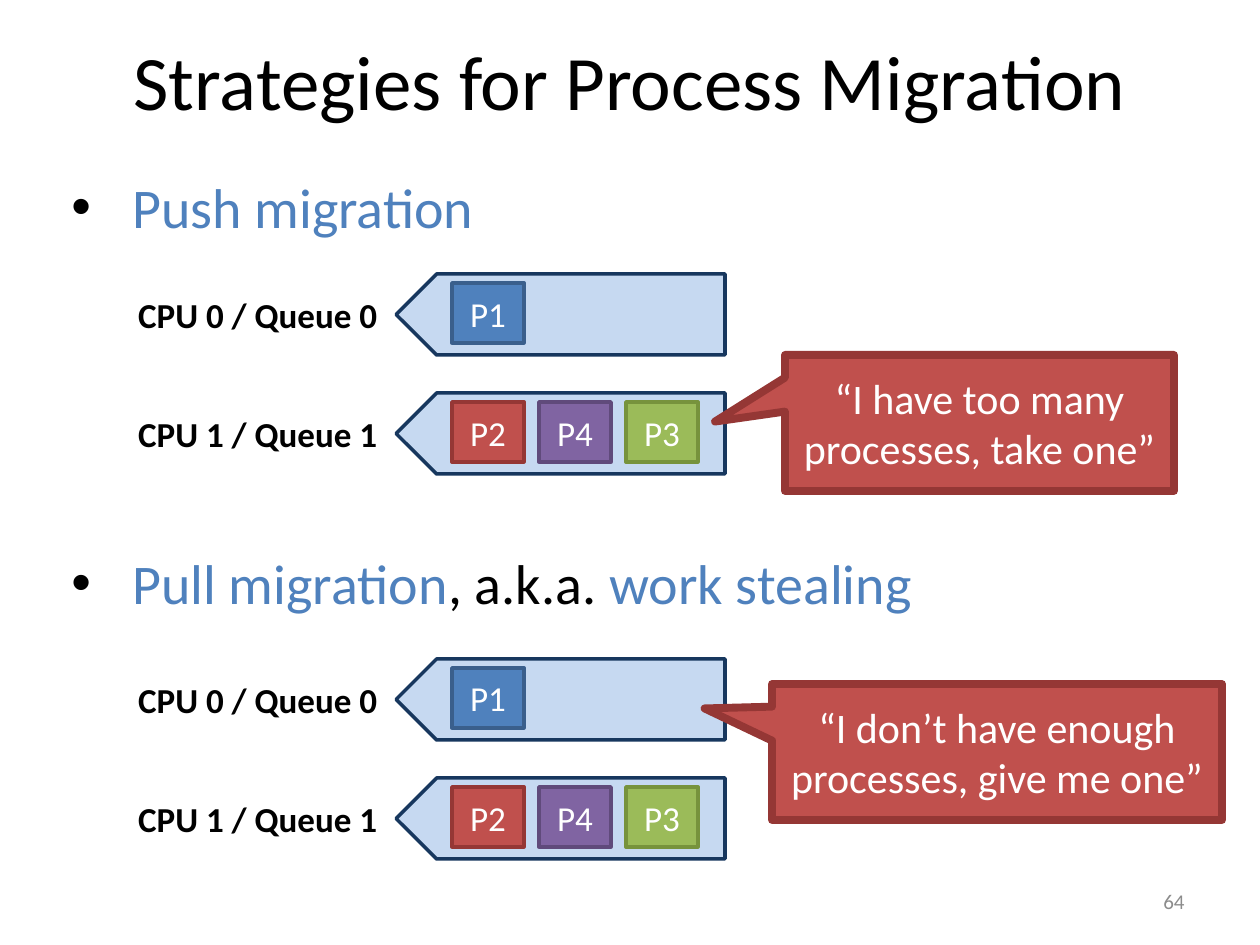
import pptx
import pptx.util
import pptx.dml.color
import pptx.enum.shapes
import pptx.enum.text
import lxml.etree

PX = 914400 / 126
SHAPE = pptx.enum.shapes.MSO_SHAPE
ALIGN = pptx.enum.text.PP_ALIGN
ANCHOR = pptx.enum.text.MSO_ANCHOR
BLACK, BLUE, RED, WHITE = "000000", "4F81BD", "C0504D", "FFFFFF"

deck = pptx.Presentation()
deck.slide_width, deck.slide_height = round(1260 * PX), round(945 * PX)
slide = deck.slides.add_slide(deck.slide_layouts[6])


def color(value):
    return pptx.dml.color.RGBColor.from_string(value)


def add(box, parts, size, kind=None, fill=None, edge=None, width=2,
        align=ALIGN.CENTER, anchor=ANCHOR.MIDDLE, bold=False, wrap=True):
    """Add a shape, or a text box if no kind is given; parts are (text, colour)."""
    place = [round(n * PX) for n in box]
    if kind is None:
        item = slide.shapes.add_textbox(*place)
    else:
        item = slide.shapes.add_shape(kind, *place)
        item.shadow.inherit = False
        item.fill.solid()
        item.fill.fore_color.rgb = color(fill)
        item.line.color.rgb = color(edge)
        item.line.width = pptx.util.Pt(width)
    frame = item.text_frame
    frame.word_wrap = wrap
    frame.vertical_anchor = anchor
    para = frame.paragraphs[0]
    para.alignment = align
    for text, tint in parts:
        run = para.add_run()
        run.text = text
        run.font.name = "Calibri"
        run.font.size = pptx.util.Pt(size)
        run.font.bold = bold
        run.font.color.rgb = color(tint)
    return item


# Title and page number
add((63, 1, 1134, 158), [("Strategies for Process Migration", BLACK)], 44)
add((903, 876, 294, 50), [("64", "8C8C8C")], 12, align=ALIGN.RIGHT)

# Bulleted headings
heads = [
    (166, [("Push migration", BLUE)]),
    (542, [("Pull migration", BLUE), (", a.k.a. ", BLACK),
           ("work stealing", BLUE)]),
]
for top, parts in heads:
    head = add((59, top, 1134, 91), parts, 32, align=ALIGN.LEFT,
               anchor=ANCHOR.TOP)
    props = head.text_frame.paragraphs[0]._p.get_or_add_pPr()
    indent = round(61 * PX)
    props.set("marL", str(indent))
    props.set("indent", str(-indent))
    space = "{http://schemas.openxmlformats.org/drawingml/2006/main}"
    tint = lxml.etree.SubElement(props, space + "buClr")
    lxml.etree.SubElement(tint, space + "srgbClr", val=BLACK)
    lxml.etree.SubElement(props, space + "buFont", typeface="Arial")
    lxml.etree.SubElement(props, space + "buChar", char="•")

# Queues with their processes, once per strategy
queues = [
    [("P1", BLUE, "3A5F8C")],
    [("P2", RED, "953735"), ("P4", "8064A2", "604A7B"),
     ("P3", "9BBB59", "77933C")],
]
for start in (274, 659):
    for row, tasks in enumerate(queues):
        top = start + 119 * row
        queue = add((396, top, 329, 81), [], 20, SHAPE.PENTAGON,
                    "C6D9F1", "17375E")
        queue.rotation = 180
        add((123, top + 13, 267, 55), [(f"CPU {row} / Queue {row}", BLACK)],
            20, align=ALIGN.RIGHT, anchor=ANCHOR.TOP, bold=True, wrap=False)
        for col, (name, fill, edge) in enumerate(tasks):
            add((452 + 87 * col, top + 9, 72, 60), [(name, WHITE)], 20,
                SHAPE.RECTANGLE, fill, edge)

# Callouts
notes = [
    ((785, 355, 389, 136), "“I have too many processes, take one”",
     (-0.68, -0.01)),
    ((772, 684, 450, 136), "“I don’t have enough processes, give me one”",
     (-0.65, -0.32)),
]
for box, text, tip in notes:
    note = add(box, [(text, WHITE)], 24, SHAPE.RECTANGULAR_CALLOUT,
               RED, "953735", 4.5)
    note.adjustments[0], note.adjustments[1] = tip

deck.save("out.pptx")
